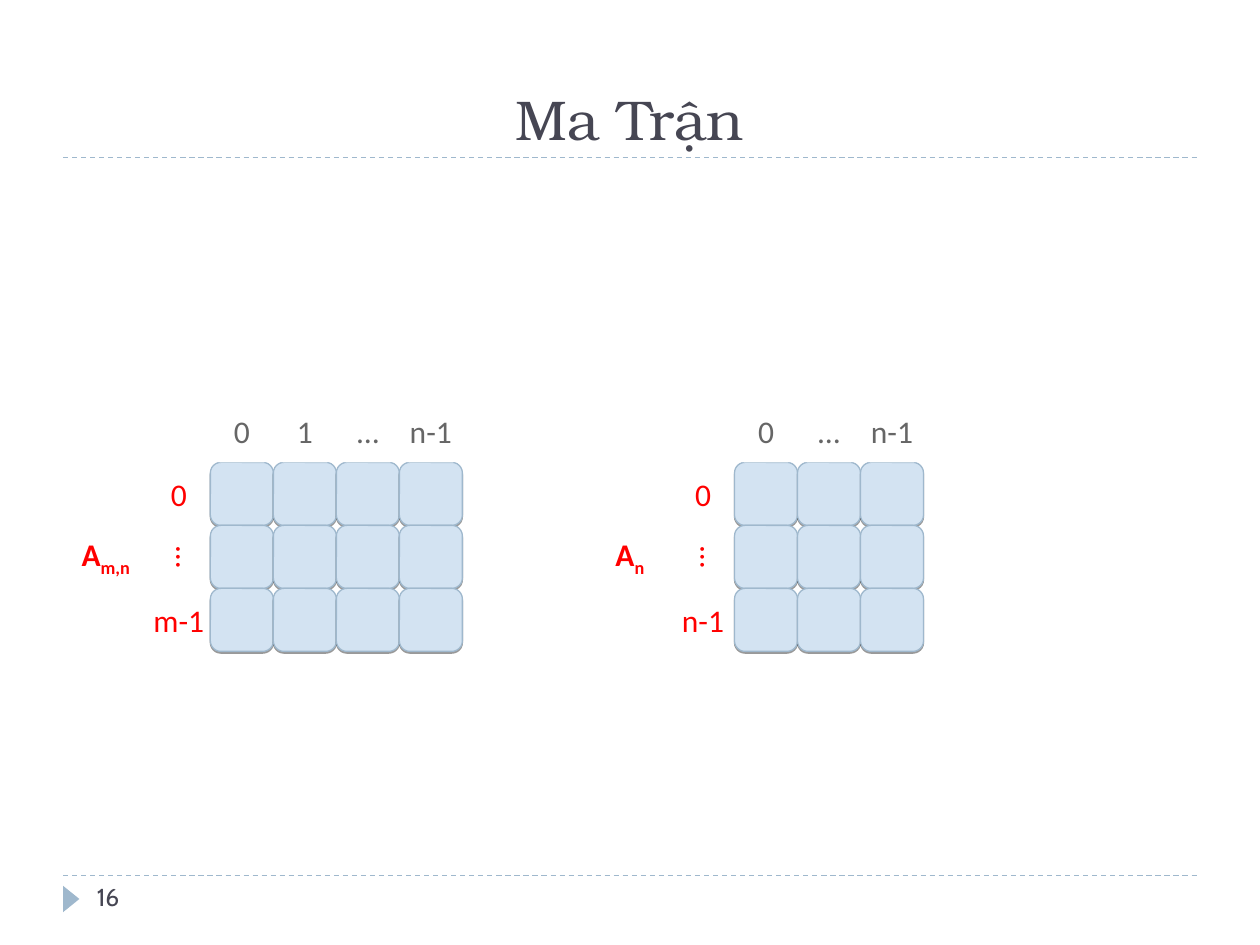
from lxml import etree
from pptx import Presentation
from pptx.dml.color import RGBColor
from pptx.enum.dml import MSO_LINE
from pptx.enum.shapes import MSO_CONNECTOR, MSO_SHAPE
from pptx.enum.text import MSO_ANCHOR, PP_ALIGN
from pptx.oxml.ns import qn
from pptx.util import Inches, Pt

ROUNDED, TRIANGLE = MSO_SHAPE.ROUNDED_RECTANGLE, MSO_SHAPE.ISOSCELES_TRIANGLE
STRAIGHT, DASH = MSO_CONNECTOR.STRAIGHT, MSO_LINE.DASH
LEFT, CENTER = PP_ALIGN.LEFT, PP_ALIGN.CENTER
TOP, MIDDLE, BOTTOM = MSO_ANCHOR.TOP, MSO_ANCHOR.MIDDLE, MSO_ANCHOR.BOTTOM

# Content
TITLE = "Ma Trận"
PAGE_NUMBER = "16"
MATRICES = [
    {"left": 1.67, "name": ("A", "m,n"), "rows": ["0", "…", "m-1"],
     "columns": ["0", "1", "…", "n-1"]},
    {"left": 5.83, "name": ("A", "n"), "rows": ["0", "…", "n-1"],
     "columns": ["0", "…", "n-1"]},
]

# Look
COLORS = {"accent": "9FB8CD", "cell": "D3E3F2", "dark": "464653", "gray": "666666",
          "red": "FF0000", "white": "FFFFFF", "shadow": "000000"}
TITLE_FONT = {"name": "TeX Gyre Bonum", "size": Pt(32)}
NUMBER_FONT = {"name": "Cabin", "size": Pt(14)}
LABEL_FONT = {"name": "Calibri", "size": Pt(18)}
NAME_FONT = {**LABEL_FONT, "bold": True}

CELL = 0.5
GRID_TOP = 3.67
NAME_OFFSET = 1.08
DOTS_SHIFT = 0.08
RULES = [1.25, 6.95]


def rgb(name):
    return RGBColor.from_string(COLORS[name])


def add_span(para, text, font, color):
    span = para.add_run()
    span.text = text
    for key, value in font.items():
        setattr(span.font, key, value)
    span.font.color.rgb = rgb(color)
    return span


def add_text(page, at, text, font, align, anchor):
    frame = page.shapes.add_textbox(*map(Inches, at)).text_frame
    frame.word_wrap = True
    frame.vertical_anchor = anchor
    frame.paragraphs[0].alignment = align
    add_span(frame.paragraphs[0], text, font, "dark")


def add_box(page, left, top, fill):
    box = page.shapes.add_shape(ROUNDED, *map(Inches, (left, top, CELL, CELL)))
    box.shadow.inherit = False
    box.fill.solid()
    box.fill.fore_color.rgb = rgb(fill)
    box.line.fill.background()
    return box


def add_label(page, left, top, text, color, font=LABEL_FONT, subscript=""):
    box = add_box(page, left, top, "white")
    frame = box.text_frame
    frame.word_wrap = False
    frame.vertical_anchor = MIDDLE
    para = frame.paragraphs[0]
    para.alignment = CENTER
    add_span(para, text, font, color)
    if subscript:
        span = add_span(para, subscript, font, color)
        span.font._element.set("baseline", "-25000")
    return box


def add_cell(page, left, top):
    box = add_box(page, left, top, "cell")
    box.line.color.rgb = rgb("accent")
    box.line.width = Pt(0.75)
    # Thin shadow straight below the cell
    effects = box._element.spPr.find(qn("a:effectLst"))
    shadow = etree.SubElement(effects, qn("a:outerShdw"), blurRad="0",
                              dist=str(Pt(1)), dir="5400000", rotWithShape="0")
    color = etree.SubElement(shadow, qn("a:srgbClr"), val=COLORS["shadow"])
    etree.SubElement(color, qn("a:alpha"), val="40000")


def add_matrix(page, left, name, rows, columns):
    lefts = [left + CELL * i for i in range(len(columns))]
    tops = [GRID_TOP + CELL * i for i in range(len(rows))]
    for top, text in zip(tops, rows):
        dots = text == "…"
        label = add_label(page, left - CELL + DOTS_SHIFT * dots, top, text, "red")
        label.rotation = 90 if dots else 0
    for top in tops:
        for cell_left in lefts:
            add_cell(page, cell_left, top)
    for cell_left, text in zip(lefts, columns):
        add_label(page, cell_left, GRID_TOP - CELL, text, "gray")
    letter, subscript = name
    add_label(page, left - NAME_OFFSET, tops[1], letter, "red", NAME_FONT, subscript)


def main():
    deck = Presentation()
    deck.slide_width, deck.slide_height = Inches(10), Inches(7.5)
    page = deck.slides.add_slide(deck.slide_layouts[6])

    # Dashed rules and page marker
    for y in RULES:
        rule = page.shapes.add_connector(STRAIGHT, *map(Inches, (0.5, y, 9.5, y)))
        rule.line.color.rgb = rgb("accent")
        rule.line.width = Pt(0.75)
        rule.line.dash_style = DASH
        etree.SubElement(rule._element.spPr, qn("a:effectLst"))
    marker = page.shapes.add_shape(TRIANGLE, *map(Inches, (0.46, 7.07, 0.21, 0.13)))
    marker.rotation = 90
    marker.shadow.inherit = False
    marker.fill.solid()
    marker.fill.fore_color.rgb = rgb("accent")
    marker.line.fill.background()

    # Title, matrices and page number
    add_text(page, (0.5, 0.25, 9, 1), TITLE, TITLE_FONT, CENTER, BOTTOM)
    for matrix in MATRICES:
        add_matrix(page, **matrix)
    add_text(page, (0.67, 6.95, 2.17, 0.4), PAGE_NUMBER, NUMBER_FONT, LEFT, TOP)

    deck.save("out.pptx")


if __name__ == "__main__":
    main()
